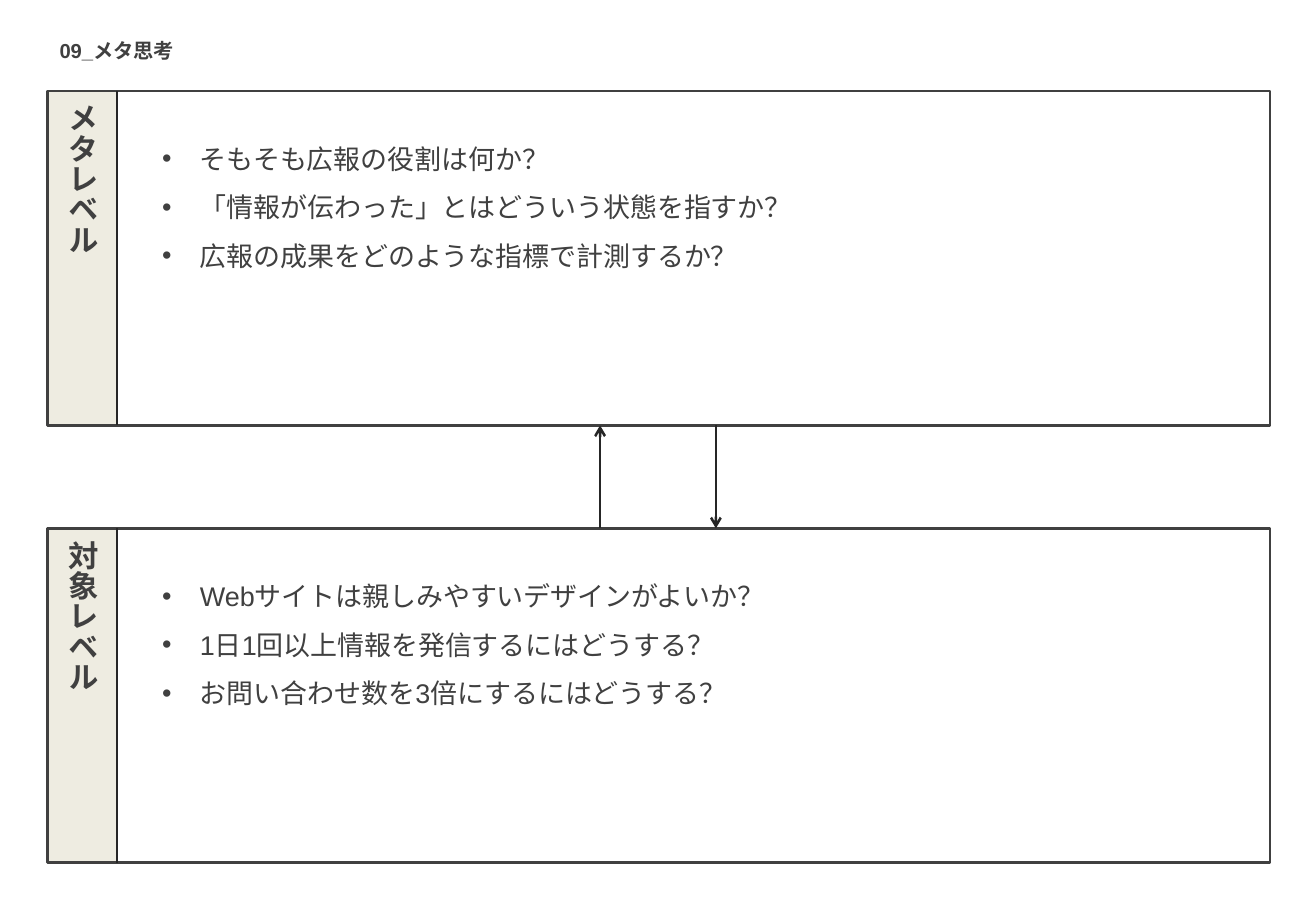
from lxml.etree import SubElement
from pptx import Presentation
from pptx.dml.color import RGBColor
from pptx.enum.shapes import MSO_CONNECTOR, MSO_SHAPE
from pptx.enum.text import MSO_ANCHOR, MSO_AUTO_SIZE, PP_ALIGN
from pptx.oxml.ns import qn
from pptx.util import Inches, Pt

COLORS = {"text": "404040", "rule": "262626", "label": "EEECE1"}
W, H = Inches(10.83), Inches(7.5)
LEFT, WIDTH = 0.036, 0.929
PANEL_H = 0.367
META_TOP, OBJECT_TOP = 0.1, 0.58
META = ["そもそも広報の役割は何か？",
        "「情報が伝わった」とはどういう状態を指すか？",
        "広報の成果をどのような指標で計測するか？"]
OBJECT = ["Webサイトは親しみやすいデザインがよいか？",
          "1日1回以上情報を発信するにはどうする？",
          "お問い合わせ数を3倍にするにはどうする？"]


def color(name):
    """Return the named palette colour."""
    return RGBColor.from_string(COLORS[name])


def box(x, y, w, h):
    """Turn shares of the slide into left, top, width and height."""
    return int(x * W), int(y * H), int(w * W), int(h * H)


def place(sp, bounds):
    """Move a shape to the given bounds."""
    sp.left, sp.top, sp.width, sp.height = bounds


def setup_frame(tf, anchor=MSO_ANCHOR.TOP):
    """Make a text frame wrap and grow with its text."""
    tf.word_wrap = True
    tf.auto_size = MSO_AUTO_SIZE.SHAPE_TO_FIT_TEXT
    tf.vertical_anchor = anchor


def add_run(p, text, size, bold=False):
    """Add a formatted run to a paragraph."""
    r = p.add_run()
    r.text = text
    r.font.name = "Arial"
    r.font.size = Pt(size)
    r.font.bold = bold
    r.font.color.rgb = color("text")


def add_rect(s, bounds, fill=None, line=None):
    """Add a rectangle that is either filled or outlined."""
    sp = s.shapes.add_shape(MSO_SHAPE.RECTANGLE, *bounds)
    sp.shadow.inherit = False
    if fill:
        sp.fill.solid()
        sp.fill.fore_color.rgb = color(fill)
    else:
        sp.fill.background()
    if line:
        sp.line.color.rgb = color(line)
        sp.line.width = Pt(1.5)
    else:
        sp.line.fill.background()


def add_line(s, x, y1, y2, arrow=False):
    """Draw a vertical rule, optionally with an arrowhead at its end."""
    c = s.shapes.add_connector(MSO_CONNECTOR.STRAIGHT, int(x * W), int(y1 * H),
                               int(x * W), int(y2 * H))
    c.line.color.rgb = color("rule")
    c.line.width = Pt(1.5)
    if arrow:
        SubElement(c.line._get_or_add_ln(), qn("a:tailEnd"), type="arrow")
    SubElement(c._element.spPr, qn("a:effectLst"))


def add_title(sp, text, bounds):
    """Fill the title placeholder."""
    place(sp, bounds)
    setup_frame(sp.text_frame)
    p = sp.text_frame.paragraphs[0]
    p.alignment = PP_ALIGN.LEFT
    add_run(p, text, 12, True)


def add_label(s, text, bounds):
    """Add a vertical heading."""
    tf = s.shapes.add_textbox(*bounds).text_frame
    setup_frame(tf, MSO_ANCHOR.MIDDLE)
    tf._txBody.bodyPr.set("vert", "eaVert")
    p = tf.paragraphs[0]
    p.alignment = PP_ALIGN.CENTER
    add_run(p, text, 18, True)


def fill_list(sp, items, bounds):
    """Fill a body placeholder with bulleted questions."""
    place(sp, bounds)
    tf = sp.text_frame
    setup_frame(tf)
    for i, item in enumerate(items):
        p = tf.add_paragraph() if i else tf.paragraphs[0]
        p.alignment = PP_ALIGN.JUSTIFY
        p.line_spacing = 1.5
        p.space_before = Pt(0)
        pPr = p._p.get_or_add_pPr()
        pPr.set("marL", str(Inches(0.31)))
        pPr.set("indent", str(-Inches(0.31)))
        SubElement(pPr, qn("a:buFont"), typeface="Arial")
        SubElement(pPr, qn("a:buChar"), char="•")
        add_run(p, item, 16)


def add_panel(s, body, label, items, x, y, w, h):
    """Build one level: label strip, frame, rule, heading and list."""
    strip = w * 0.057
    add_rect(s, box(x, y, strip, h), fill="label")
    add_rect(s, box(x, y, w, h), line="text")
    add_line(s, x + strip, y, y + h)
    add_label(s, label, box(x + w * 0.004, y, w * 0.05, h))
    fill_list(body, items, box(x + w * 0.084, y + h * 0.087, w * 0.886, h * 0.46))


def main():
    """Build and save the slide."""
    prs = Presentation()
    prs.slide_width, prs.slide_height = W, H
    s = prs.slides.add_slide(prs.slide_layouts[3])
    add_title(s.shapes.title, "09_メタ思考", box(LEFT, 0.035, 0.106, 0.04))
    upper, lower = s.placeholders[1], s.placeholders[2]
    add_panel(s, upper, "メタレベル", META, LEFT, META_TOP, WIDTH, PANEL_H)
    add_panel(s, lower, "対象レベル", OBJECT, LEFT, OBJECT_TOP, WIDTH, PANEL_H)
    meta_bottom = META_TOP + PANEL_H
    add_line(s, 0.544, meta_bottom, OBJECT_TOP, arrow=True)
    add_line(s, 0.456, OBJECT_TOP, meta_bottom, arrow=True)
    prs.save("out.pptx")


if __name__ == "__main__":
    main()
